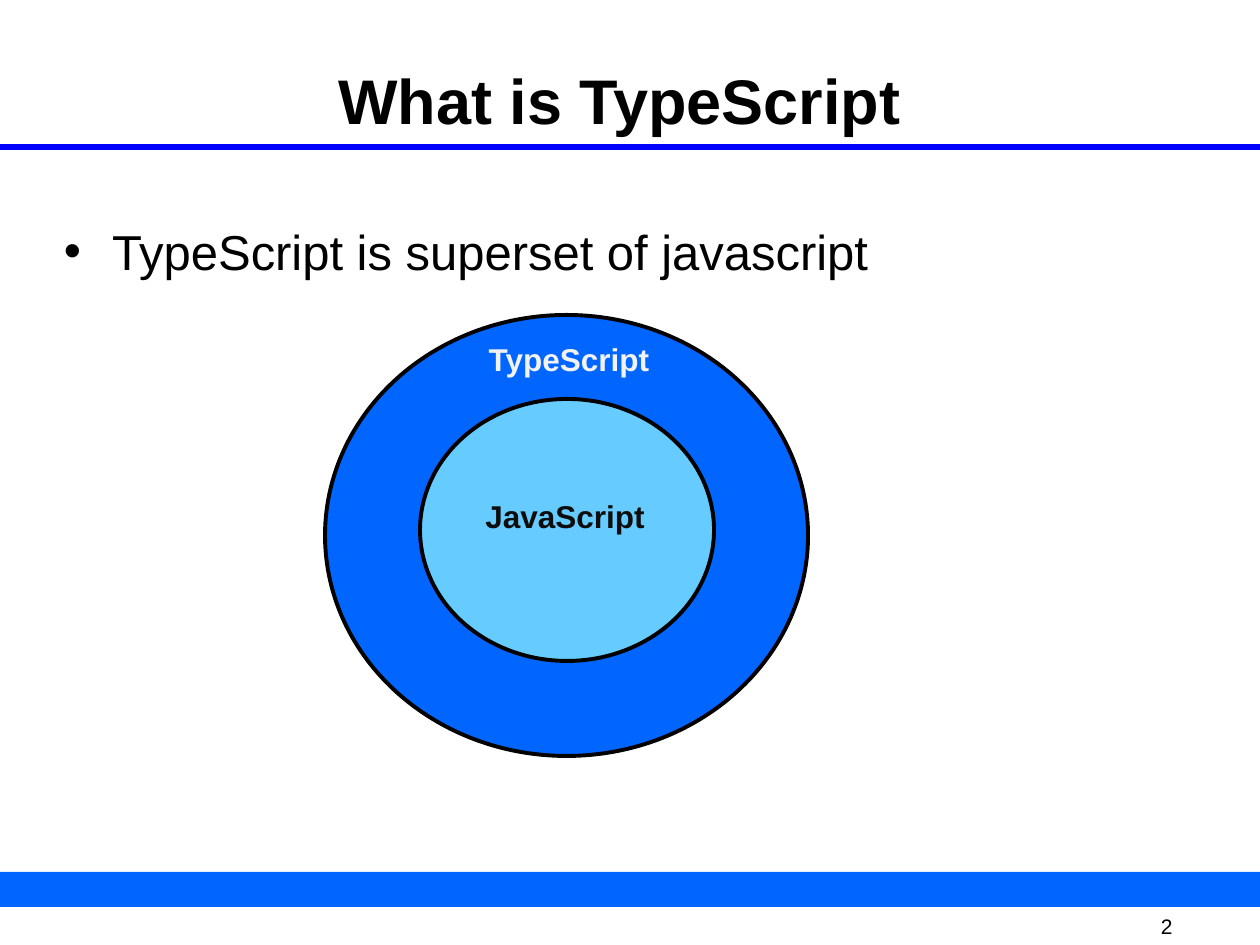
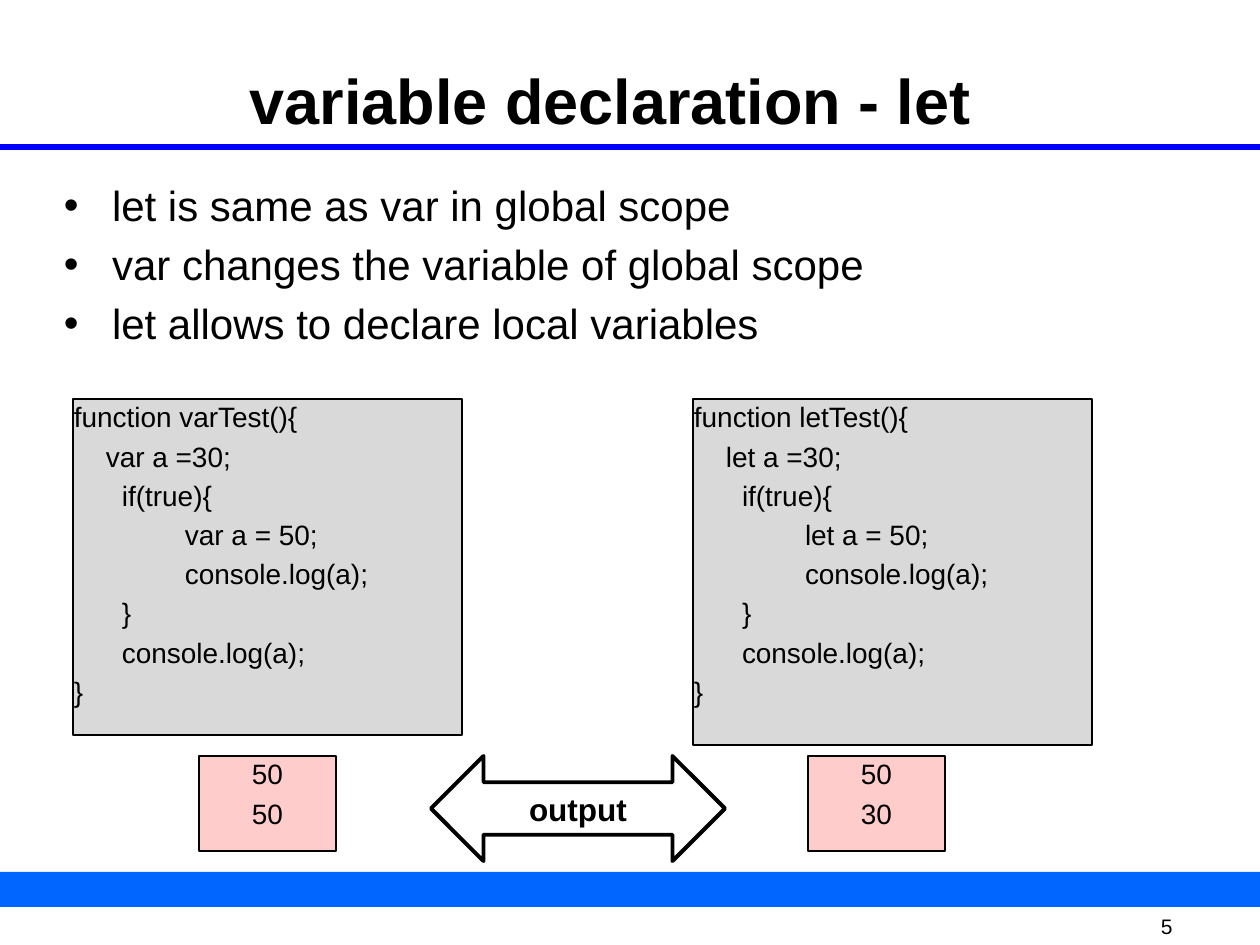
"""Build two slides on TypeScript basics."""
import pptx
import pptx.util
import pptx.dml.color
import pptx.enum.shapes
import pptx.enum.text
import pptx.oxml.ns
import lxml.etree

UNIT = 914400 / 126
BLUE = "0066FF"
BLACK = "000000"
RULE = "0000FF"
GRAY = "D9D9D9"
PINK = "FFCCCC"
SHAPE = pptx.enum.shapes.MSO_SHAPE
ALIGN = pptx.enum.text.PP_ALIGN
ANCHOR = pptx.enum.text.MSO_ANCHOR
qn = pptx.oxml.ns.qn
sub = lxml.etree.SubElement


def paint(form, tone):
    """Give a fill or font colour object a solid hex colour."""
    form.rgb = pptx.dml.color.RGBColor.from_string(tone)


def write(slide, text, box, kind=None, fill=None, line=0, size=18, bold=False,
          tone=BLACK, align=ALIGN.LEFT, anchor=ANCHOR.TOP, pads=(1, 1, 1, 1),
          wrap=True, dot=False, steps=()):
    """Add a text box or preset shape holding formatted text."""
    area = [round(v * UNIT) for v in box]
    if kind is None:
        item = slide.shapes.add_textbox(*area)
    else:
        item = slide.shapes.add_shape(kind, *area)
        item.shadow.inherit = False
        if fill:
            item.fill.solid()
            paint(item.fill.fore_color, fill)
        else:
            item.fill.background()
        if line:
            item.line.width = pptx.util.Pt(line)
            paint(item.line.color, BLACK)
        else:
            item.line.fill.background()
    if not text:
        return
    frame = item.text_frame
    frame.word_wrap = wrap
    frame.vertical_anchor = anchor
    sides = [round(v * UNIT) for v in pads]
    frame.margin_left, frame.margin_top, frame.margin_right, frame.margin_bottom = sides
    for num, words in enumerate(text.split("\n")):
        para = frame.add_paragraph() if num else frame.paragraphs[0]
        para.alignment = align
        run = para.add_run()
        run.text = words
        run.font.name = "Arial"
        run.font.size = pptx.util.Pt(size)
        run.font.bold = bold
        paint(run.font.color, tone)
        props = para._p.get_or_add_pPr()
        sub(sub(props, qn("a:spcBef")), qn("a:spcPct")).set("val", "20000")
        if steps:
            props.set("marL", str(round(steps[num] * UNIT)))
        if dot:
            props.set("marL", str(round(48 * UNIT)))
            props.set("indent", str(round(-48 * UNIT)))
            sub(props, qn("a:buFont")).set("typeface", "Arial")
            sub(props, qn("a:buChar")).set("char", "•")


deck = pptx.Presentation()
deck.slide_width = round(1260 * UNIT)
deck.slide_height = round(945 * UNIT)

pages = [
    ("What is TypeScript", "2", 21, (63, 220, 1113, 672), 28,
     "TypeScript is superset of javascript"),
    ("variable declaration - let", "5", 39, (63, 179, 1113, 242), 24,
     "let is same as var in global scope\n"
     "var changes the variable of global scope\n"
     "let allows to declare local variables"),
]
slides = []
for title, page, right, area, size, body in pages:
    slide = deck.slides.add_slide(deck.slide_layouts[6])
    slides.append(slide)
    write(slide, page, (1143, 914, 96, 24), size=12, anchor=ANCHOR.MIDDLE,
          pads=(18, 0, 0, 0))
    write(slide, "", (0, 872, 1260, 35), kind=SHAPE.RECTANGLE, fill=BLUE)
    rule = slide.shapes.add_connector(
        pptx.enum.shapes.MSO_CONNECTOR.STRAIGHT,
        0, round(147 * UNIT), deck.slide_width, round(147 * UNIT))
    rule.line.width = pptx.util.Pt(3)
    paint(rule.line.color, RULE)
    sub(rule._element.spPr, qn("a:effectLst"))
    write(slide, title, (84, 60, 1091, 121), size=36, bold=True,
          align=ALIGN.CENTER, pads=(1, 1, right, 1))
    write(slide, body, area, size=size, dot=True)

venn, code = slides
rings = [((325, 315, 483, 441), BLUE), ((420, 399, 294, 262), "66CCFF")]
for box, fill in rings:
    write(venn, "", box, kind=SHAPE.OVAL, fill=fill, line=2.25)
names = [("TypeScript", (475, 334, 188, 50), "F2F2F2"),
         ("JavaScript", (472, 491, 186, 50), "0D0D0D")]
for name, box, tone in names:
    write(venn, name, box, bold=True, tone=tone, align=ALIGN.CENTER,
          pads=(12, 6, 12, 6), wrap=False)

tests = [("var", (73, 399, 389, 336), "50\n50", 199),
         ("let", (693, 399, 399, 346), "50\n30", 808)]
for word, box, result, left in tests:
    lines = [f"function {word}Test(){{", f"{word} a =30;", "if(true){",
             f"{word} a = 50;", "console.log(a);", "}", "console.log(a);", "}"]
    write(code, "\n".join(lines), box, kind=SHAPE.RECTANGLE, fill=GRAY,
          line=0.75, size=16, steps=(0, 32, 48, 111, 111, 48, 48, 0))
    write(code, result, (left, 756, 137, 95), kind=SHAPE.RECTANGLE, fill=PINK,
          line=0.75, size=16, align=ALIGN.CENTER)
write(code, "output", (431, 756, 294, 105), kind=SHAPE.LEFT_RIGHT_ARROW,
      line=2.25, bold=True, align=ALIGN.CENTER, anchor=ANCHOR.MIDDLE,
      pads=(12, 6, 12, 6))

deck.save("out.pptx")
